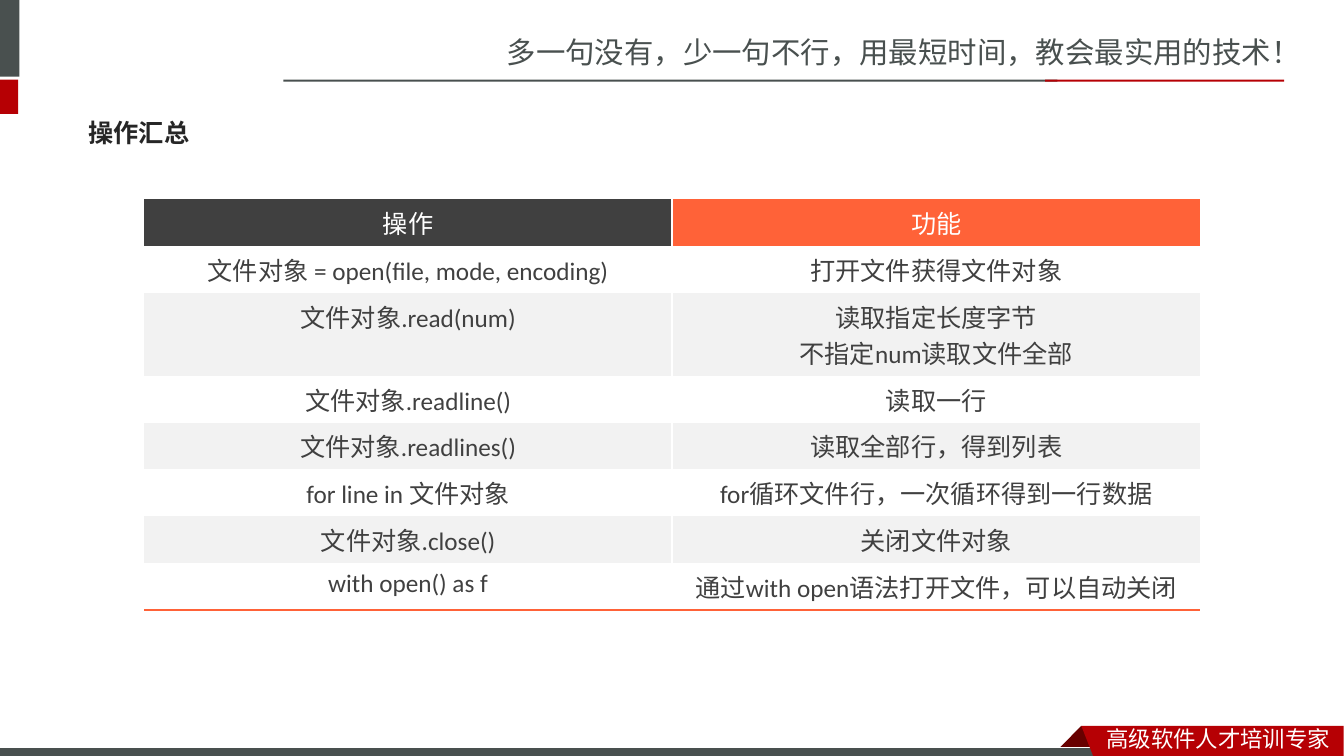
from lxml import etree
from pptx import Presentation
from pptx.dml.color import RGBColor
from pptx.enum.shapes import MSO_SHAPE
from pptx.enum.text import MSO_ANCHOR, PP_ALIGN
from pptx.oxml.ns import qn
from pptx.util import Cm, Pt

RECT = MSO_SHAPE.RECTANGLE
MIDDLE = MSO_ANCHOR.MIDDLE
TOP = MSO_ANCHOR.TOP
CENTER = PP_ALIGN.CENTER
CJK_SC = "Noto Sans CJK SC"
CJK_JP = "Noto Sans CJK JP"
NO_STYLE = "{2D5ABB26-0587-4C30-8999-92F81FD0307C}"

GREY, RED, DARK_RED, WHITE = "49504F", "B60004", "680000", "FFFFFF"
CHARCOAL, ORANGE, PALE = "404040", "FF6238", "F2F2F2"

# left, top, width, height in cm; colour
BARS = [
    (-0.15, 0, 0.64, 1.93, GREY),
    (-0.15, 2.01, 0.61, 0.86, RED),
    (7.14, 2.01, 19.51, 0.05, GREY),
    (26.34, 2.01, 6.02, 0.05, RED),
]
FOOTER_BAR = (-0.03, 18.83, 27.94, 0.3, GREY)
FOLD = [(27.25, 18.29), (27.81, 18.85), (27.79, 18.87), (26.72, 18.87), (26.7, 18.85)]
RIBBON = [(27.25, 18.29), (33.86, 18.29), (33.86, 19.15), (27.58, 19.13)]

# text, box in cm, size, font, colour, bold, anchor
TEXTS = [
    ("多一句没有，少一句不行，用最短时间，教会最实用的技术！",
     (12.52, 0.73, 21.36, 1.19), 21, CJK_SC, GREY, False, TOP),
    ("高级软件人才培训专家", (27.64, 18.16, 6.22, 0.94), 16, CJK_SC, WHITE, False, TOP),
    ("操作汇总", (1.98, 2.62, 29.72, 1.45), 18, CJK_JP, "262626", True, MIDDLE),
]

TABLE_LEFT, TABLE_TOP, COLUMN_WIDTH = 3.63, 5.02, 13.31
LINE_ROW, TWO_LINE_ROW = 1.18, 2.09
HEADER_FILLS = (CHARCOAL, ORANGE)
ROWS = [
    ("操作", "功能"),
    ("文件对象 = open(file, mode, encoding)", "打开文件获得文件对象"),
    ("文件对象.read(num)", "读取指定长度字节\n不指定num读取文件全部"),
    ("文件对象.readline()", "读取一行"),
    ("文件对象.readlines()", "读取全部行，得到列表"),
    ("for line in 文件对象", "for循环文件行，一次循环得到一行数据"),
    ("文件对象.close()", "关闭文件对象"),
    ("with open() as f", "通过with open语法打开文件，可以自动关闭"),
]


def rgb(value):
    return RGBColor.from_string(value)


def paint(sp, color):
    sp.shadow.inherit = False
    sp.fill.solid()
    sp.fill.fore_color.rgb = rgb(color)
    sp.line.fill.background()


def add_bar(slide, x, y, w, h, color):
    sp = slide.shapes.add_shape(RECT, Cm(x), Cm(y), Cm(w), Cm(h))
    paint(sp, color)
    return sp


def add_polygon(slide, points, color):
    start, *rest = [(Cm(x), Cm(y)) for x, y in points]
    builder = slide.shapes.build_freeform(*start)
    builder.add_line_segments(rest, close=True)
    paint(builder.convert_to_shape(), color)


def style_text(tf, size, latin, east_asian, color, bold=False, align=None):
    for p in tf.paragraphs:
        p.alignment = align
        p.font.size = Pt(size)
        p.font.bold = bold
        p.font.name = latin
        p.font.color.rgb = rgb(color)
        props = p._p.pPr.find(qn("a:defRPr"))
        etree.SubElement(props, qn("a:ea")).set("typeface", east_asian)


def add_text(slide, text, box, size, font, color, bold, anchor):
    tf = slide.shapes.add_textbox(*map(Cm, box)).text_frame
    tf.word_wrap = True
    tf.vertical_anchor = anchor
    tf.text = text
    style_text(tf, size, font, font, color, bold)


def set_borders(cell, colors):
    """Draw the sides named in colors and clear the others."""
    props = cell._tc.get_or_add_tcPr()
    for i, side in enumerate("LRTB"):
        ln = etree.Element(qn(f"a:ln{side}"), w=str(Pt(1.5)), cap="flat", cmpd="sng")
        if side in colors:
            fill = etree.SubElement(ln, qn("a:solidFill"))
            etree.SubElement(fill, qn("a:srgbClr"), val=colors[side])
            etree.SubElement(ln, qn("a:prstDash"), val="solid")
        else:
            etree.SubElement(ln, qn("a:noFill"))
        props.insert(i, ln)


def add_operations_table(slide):
    heights = [TWO_LINE_ROW if "\n" in "".join(row) else LINE_ROW for row in ROWS]
    table = slide.shapes.add_table(
        len(ROWS), 2, Cm(TABLE_LEFT), Cm(TABLE_TOP),
        Cm(2 * COLUMN_WIDTH), Cm(sum(heights))).table
    table.first_row = table.horz_banding = False
    table._tbl.tblPr.find(qn("a:tableStyleId")).text = NO_STYLE
    for column in table.columns:
        column.width = Cm(COLUMN_WIDTH)
    for r, texts in enumerate(ROWS):
        table.rows[r].height = Cm(heights[r])
        for c, text in enumerate(texts):
            cell = table.cell(r, c)
            cell.text = text
            style_text(cell.text_frame, 18, "Calibri", CJK_SC,
                       CHARCOAL if r else WHITE, align=CENTER)
            cell.fill.solid()
            band = WHITE if r % 2 else PALE
            cell.fill.fore_color.rgb = rgb(band if r else HEADER_FILLS[c])
            borders = {"L" if c else "R": WHITE}
            if r == len(ROWS) - 1:
                borders["B"] = ORANGE
            set_borders(cell, borders)


def main():
    prs = Presentation()
    prs.slide_width, prs.slide_height = Cm(33.87), Cm(19.05)
    slide = prs.slides.add_slide(prs.slide_layouts[6])
    for bar in BARS:
        add_bar(slide, *bar)
    add_polygon(slide, FOLD, DARK_RED)
    footer = add_bar(slide, *FOOTER_BAR)
    footer.line.color.rgb = rgb(WHITE)
    footer.line.width = Pt(0.75)
    add_polygon(slide, RIBBON, RED)
    for text in TEXTS:
        add_text(slide, *text)
    add_operations_table(slide)
    prs.save("out.pptx")


if __name__ == "__main__":
    main()
